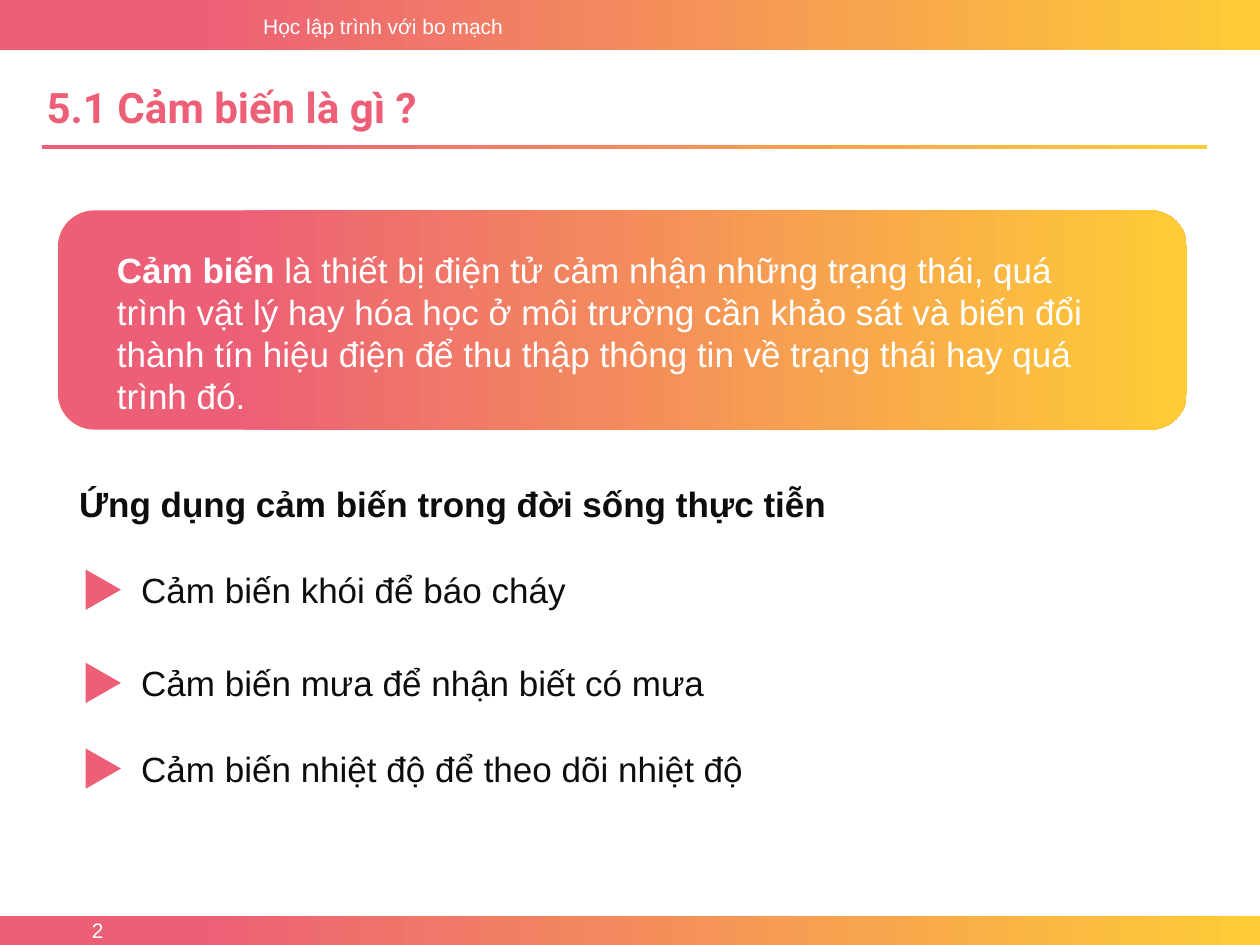
from lxml.etree import SubElement
from pptx import Presentation
from pptx.dml.color import RGBColor
from pptx.enum.shapes import MSO_SHAPE
from pptx.enum.text import MSO_ANCHOR, MSO_AUTO_SIZE, PP_ALIGN
from pptx.oxml.ns import qn
from pptx.util import Inches, Pt

PINK = RGBColor(0xEC, 0x5F, 0x77)
YELLOW = RGBColor(0xFE, 0xCC, 0x36)
WHITE = RGBColor(0xFF, 0xFF, 0xFF)
INK = RGBColor(0x0D, 0x0D, 0x0D)

WIDTH, HEIGHT = 10, 7.5
FOOTER_H = 0.23
TEXT_SIZE = 20
LINE_H = TEXT_SIZE * 1.2  # points, single line spacing
ITEM_TOPS = [4.46, 5.2, 5.88]
ITEMS = [
    "Cảm biến khói để báo cháy",
    "Cảm biến mưa để nhận biết có mưa",
    "Cảm biến nhiệt độ để theo dõi nhiệt độ",
]


def add_filled(s, kind, *box):
    sp = s.shapes.add_shape(kind, *map(Inches, box))
    sp.shadow.inherit = False
    sp.line.fill.background()
    return sp


def add_gradient(s, kind, *box):
    fill = add_filled(s, kind, *box).fill
    fill.gradient()
    fill.gradient_angle = 0
    for stop, position, color in zip(fill.gradient_stops, (0.15, 1), (PINK, YELLOW)):
        stop.position = position
        stop.color.rgb = color


def add_marker(s, item_top):
    sp = add_filled(s, MSO_SHAPE.ISOSCELES_TRIANGLE, 0.66, item_top + 0.08, 0.32, 0.28)
    sp.rotation = 90
    sp.fill.solid()
    sp.fill.fore_color.rgb = PINK


def add_run(p, text, size, color, bold=False, font="Arial"):
    r = p.add_run()
    r.text = text
    r.font.name = font
    r.font.size = Pt(size)
    r.font.bold = bold
    r.font.color.rgb = color


def set_frame(sp, *box, anchor=MSO_ANCHOR.TOP):
    """Place a text shape and return its frame, wrapped and not resized."""
    sp.left, sp.top, sp.width, sp.height = map(Inches, box)
    tf = sp.text_frame
    tf.word_wrap = True
    tf.auto_size = MSO_AUTO_SIZE.NONE
    tf.vertical_anchor = anchor
    return tf


def add_text(s, *box, anchor=MSO_ANCHOR.TOP):
    """Add a text box and return its first paragraph."""
    return set_frame(s.shapes.add_textbox(0, 0, 0, 0), *box, anchor=anchor).paragraphs[0]


def fill_title(s):
    p = set_frame(s.shapes.title, 0.27, 0.6, 8.07, 0.5).paragraphs[0]
    p.alignment = PP_ALIGN.LEFT
    add_run(p, "5.1 Cảm biến là gì ?", 24, PINK, bold=True, font="Roboto")


def fill_list(s):
    tf = set_frame(s.placeholders[1], 1.02, ITEM_TOPS[0], 6.17, 2)
    previous = None
    for text, top in zip(ITEMS, ITEM_TOPS):
        p = tf.paragraphs[0] if previous is None else tf.add_paragraph()
        p.space_before = Pt(0 if previous is None else round((top - previous) * 72 - LINE_H, 1))
        pPr = p._p.get_or_add_pPr()
        pPr.set("marL", "0")
        pPr.set("indent", "0")
        SubElement(pPr, qn("a:buNone"))
        add_run(p, text, TEXT_SIZE, INK)
        add_marker(s, top)
        previous = top


def main():
    prs = Presentation()
    prs.slide_width, prs.slide_height = Inches(WIDTH), Inches(HEIGHT)
    s = prs.slides.add_slide(prs.slide_layouts[1])

    footer_top = HEIGHT - FOOTER_H
    add_gradient(s, MSO_SHAPE.RECTANGLE, 0, 0, WIDTH, 0.4)
    add_gradient(s, MSO_SHAPE.RECTANGLE, 0, footer_top, WIDTH, FOOTER_H)
    add_run(add_text(s, 1.99, 0.06, 2.25, 0.3), "Học lập trình với bo mạch", 12, WHITE)
    p = add_text(s, 0, footer_top, 0.92, FOOTER_H, anchor=MSO_ANCHOR.MIDDLE)
    p.alignment = PP_ALIGN.RIGHT
    add_run(p, "2", 12, WHITE)

    fill_title(s)
    add_gradient(s, MSO_SHAPE.RECTANGLE, 0.33, 1.15, 9.25, 0.03)

    add_gradient(s, MSO_SHAPE.ROUNDED_RECTANGLE, 0.46, 1.67, 8.96, 1.74)
    p = add_text(s, 0.83, 1.92, 8.24, 1.11)
    add_run(p, "Cảm biến", TEXT_SIZE, WHITE, bold=True)
    add_run(p, " là thiết bị điện tử cảm nhận những trạng thái, quá trình vật lý hay hóa học "
               "ở môi trường cần khảo sát và biến đổi thành tín hiệu điện để thu thập thông tin "
               "về trạng thái hay quá trình đó.", TEXT_SIZE, WHITE)

    p = add_text(s, 0.53, 3.78, 6.17, 0.56)
    add_run(p, "Ứng dụng cảm biến trong đời sống thực tiễn", TEXT_SIZE, INK, bold=True)
    fill_list(s)

    prs.save("out.pptx")


if __name__ == "__main__":
    main()
